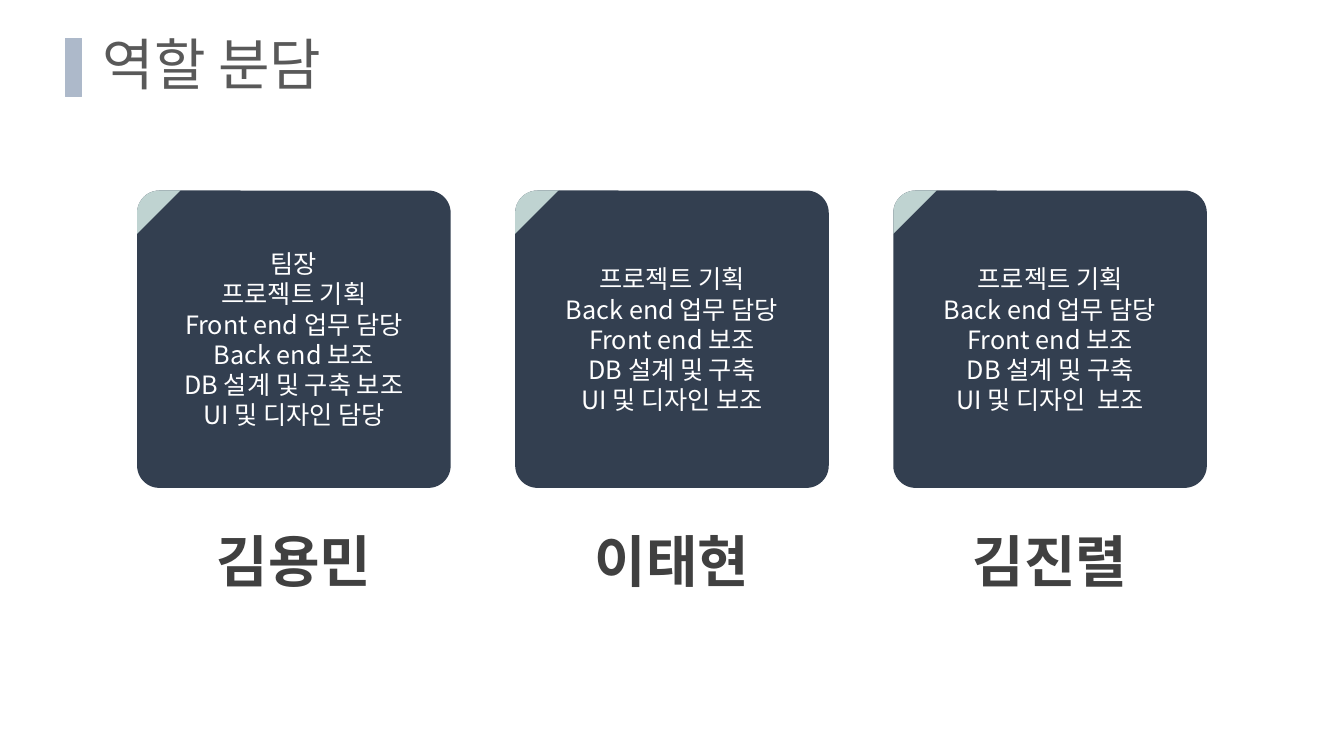
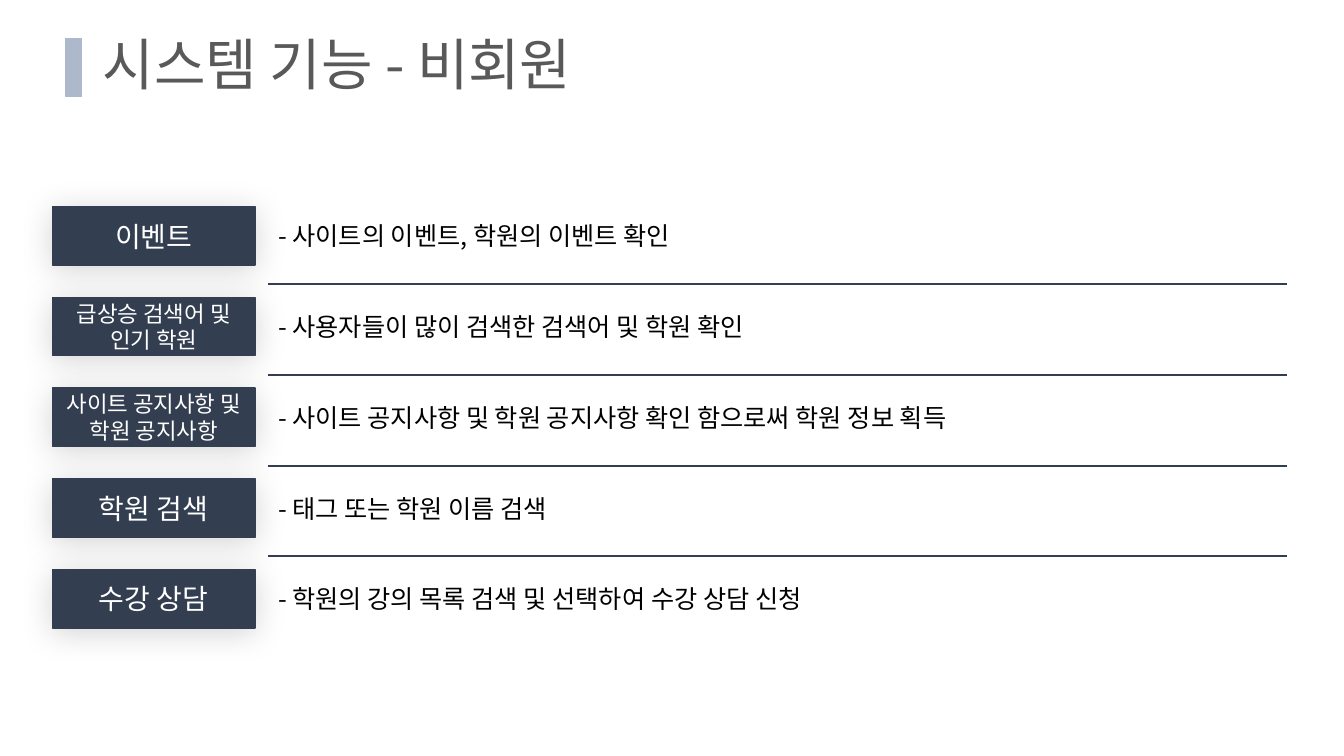
from math import cos, pi, sin

from lxml import etree
from pptx import Presentation
from pptx.dml.color import RGBColor
from pptx.enum.shapes import MSO_CONNECTOR, MSO_SHAPE
from pptx.enum.text import MSO_ANCHOR, PP_ALIGN
from pptx.oxml.ns import qn
from pptx.util import Inches, Pt

RECT = MSO_SHAPE.RECTANGLE
ROUND = MSO_SHAPE.ROUNDED_RECTANGLE
STRAIGHT = MSO_CONNECTOR.STRAIGHT
TOP, MIDDLE = MSO_ANCHOR.TOP, MSO_ANCHOR.MIDDLE
LEFT, CENTER = PP_ALIGN.LEFT, PP_ALIGN.CENTER

FONT = "Noto Sans CJK KR"
COLORS = {
    "navy": "333F50",
    "accent": "ADB9CA",
    "mint": "BFD3D1",
    "title": "595959",
    "name": "404040",
    "white": "FFFFFF",
    "black": "000000",
}

ROLES = [
    ("김용민", ["팀장", "프로젝트 기획", "Front end 업무 담당", "Back end 보조",
              "DB 설계 및 구축 보조", "UI 및 디자인 담당"]),
    ("이태현", ["프로젝트 기획", "Back end 업무 담당", "Front end 보조",
              "DB 설계 및 구축", "UI 및 디자인 보조"]),
    ("김진렬", ["프로젝트 기획", "Back end 업무 담당", "Front end 보조",
              "DB 설계 및 구축", "UI 및 디자인  보조"]),
]

FEATURES = [
    (["이벤트"], "- 사이트의 이벤트, 학원의 이벤트 확인"),
    (["급상승 검색어 및", "인기 학원"], "- 사용자들이 많이 검색한 검색어 및 학원 확인"),
    (["사이트 공지사항 및", "학원 공지사항"],
     "- 사이트 공지사항 및 학원 공지사항 확인 함으로써 학원 정보 획득"),
    (["학원 검색"], "- 태그 또는 학원 이름 검색"),
    (["수강 상담"], "- 학원의 강의 목록 검색 및 선택하여 수강 상담 신청"),
]


def color(key):
    return RGBColor.from_string(COLORS[key])


class Deck:
    def __init__(self):
        self.prs = Presentation()
        self.prs.slide_width = Inches(13.33)
        self.prs.slide_height = Inches(7.5)
        self.slide = None

    def start(self, title):
        """Add a slide with the shared title and accent bar."""
        self.slide = self.prs.slides.add_slide(self.prs.slide_layouts[6])
        self.text(0.92, 0.32, 11.5, 0.7, [title], 40, "title",
                  anchor=MIDDLE, space=0.9)
        self.box(RECT, 0.65, 0.38, 0.16, 0.58, "accent", edge=True)

    def label(self, shape, lines, size, tone, align, anchor,
              bold=False, space=None, wrap=True):
        frame = shape.text_frame
        frame.word_wrap = wrap
        frame.vertical_anchor = anchor
        for i, line in enumerate(lines):
            para = frame.add_paragraph() if i else frame.paragraphs[0]
            para.alignment = align
            if space:
                para.line_spacing = space
            run = para.add_run()
            run.text = line
            font = run.font
            font.name, font.size, font.bold = FONT, Pt(size), bold
            font.color.rgb = color(tone)
            latin = font._element.find(qn("a:latin"))
            latin.addnext(latin.makeelement(qn("a:ea"), {"typeface": FONT}))

    def text(self, x, y, w, h, lines, size, tone,
             align=LEFT, anchor=TOP, **style):
        shape = self.slide.shapes.add_textbox(
            Inches(x), Inches(y), Inches(w), Inches(h))
        self.label(shape, lines, size, tone, align, anchor, **style)

    def paint(self, shape, fill, edge=False):
        shape.shadow.inherit = False
        shape.fill.solid()
        shape.fill.fore_color.rgb = color(fill)
        if edge:
            shape.line.color.rgb = color(fill)
            shape.line.width = Pt(1)
        else:
            shape.line.fill.background()

    def box(self, kind, x, y, w, h, fill, edge=False):
        shape = self.slide.shapes.add_shape(
            kind, Inches(x), Inches(y), Inches(w), Inches(h))
        self.paint(shape, fill, edge)
        return shape

    def fold(self, x, y, size, radius):
        """Draw a triangle that follows the rounded top left corner of a card."""
        steps = 12
        arc = [(radius * (1 - cos(pi / 2 * i / steps)),
                radius * (1 - sin(pi / 2 * i / steps)))
               for i in range(steps + 1)]
        pen = self.slide.shapes.build_freeform(Inches(x), Inches(y + size))
        pen.add_line_segments([(Inches(x + dx), Inches(y + dy))
                               for dx, dy in arc + [(size, 0)]])
        self.paint(pen.convert_to_shape(), "mint")

    def card(self, x, y, name, tasks):
        w, h, ratio = 3.11, 2.95, 0.075
        shape = self.box(ROUND, x, y, w, h, "navy")
        shape.adjustments[0] = ratio
        self.label(shape, tasks, 18, "white", CENTER, MIDDLE)
        self.fold(x, y, 0.43, ratio * h)
        self.text(x - 0.06, y + h, w + 0.12, 1.01, [name], 40, "name",
                  align=CENTER, bold=True, space=1.5)

    def glow(self, shape):
        """Give the shape a soft shadow below."""
        effects = shape._element.spPr.find(qn("a:effectLst"))
        shade = etree.SubElement(effects, qn("a:outerShdw"), {
            "blurRad": str(Pt(23)), "dist": str(Pt(3)), "dir": "5400000",
            "algn": "t", "rotWithShape": "0"})
        tint = etree.SubElement(shade, qn("a:srgbClr"), val=COLORS["black"])
        etree.SubElement(tint, qn("a:alpha"), val="16000")

    def tag(self, x, y, lines):
        shape = self.box(RECT, x, y, 2.01, 0.58, "navy", edge=True)
        self.glow(shape)
        size = 20 if len(lines) == 1 else 16
        self.label(shape, lines, size, "white", CENTER, MIDDLE, wrap=False)

    def rule(self, x, y, w):
        line = self.slide.shapes.add_connector(
            STRAIGHT, Inches(x), Inches(y), Inches(x + w), Inches(y))
        line.line.color.rgb = color("navy")
        line.line.width = Pt(1.5)
        etree.SubElement(line._element.spPr, qn("a:effectLst"))


def main():
    deck = Deck()

    deck.start("역할 분담")
    for i, (name, tasks) in enumerate(ROLES):
        deck.card(1.36 + 3.75 * i, 1.89, name, tasks)

    deck.start("시스템 기능 - 비회원")
    for i, (topic, note) in enumerate(FEATURES):
        y = 2.05 + 0.9 * i
        deck.tag(0.52, y, topic)
        deck.text(2.66, y + 0.09, 10.4, 0.4, [note], 18, "black")
        if i < len(FEATURES) - 1:
            deck.rule(2.66, y + 0.77, 10.1)

    deck.prs.save("out.pptx")


if __name__ == "__main__":
    main()
